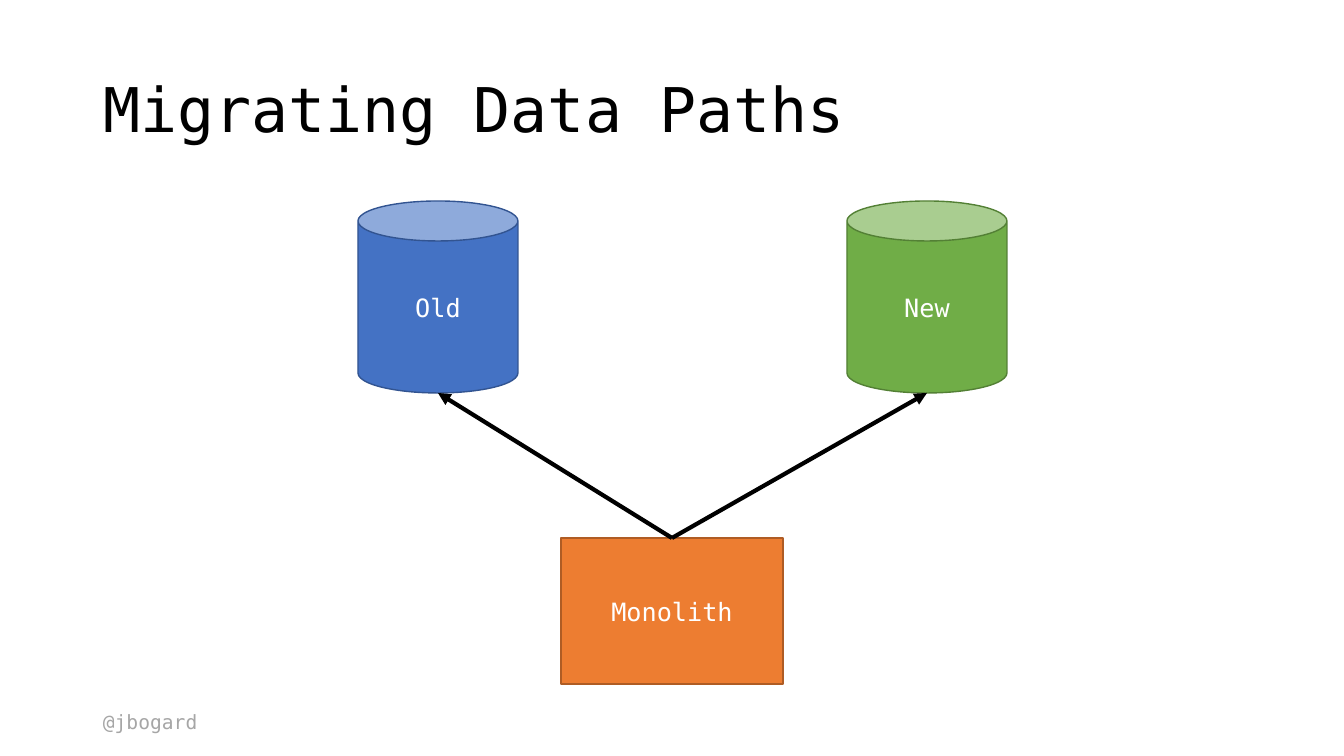
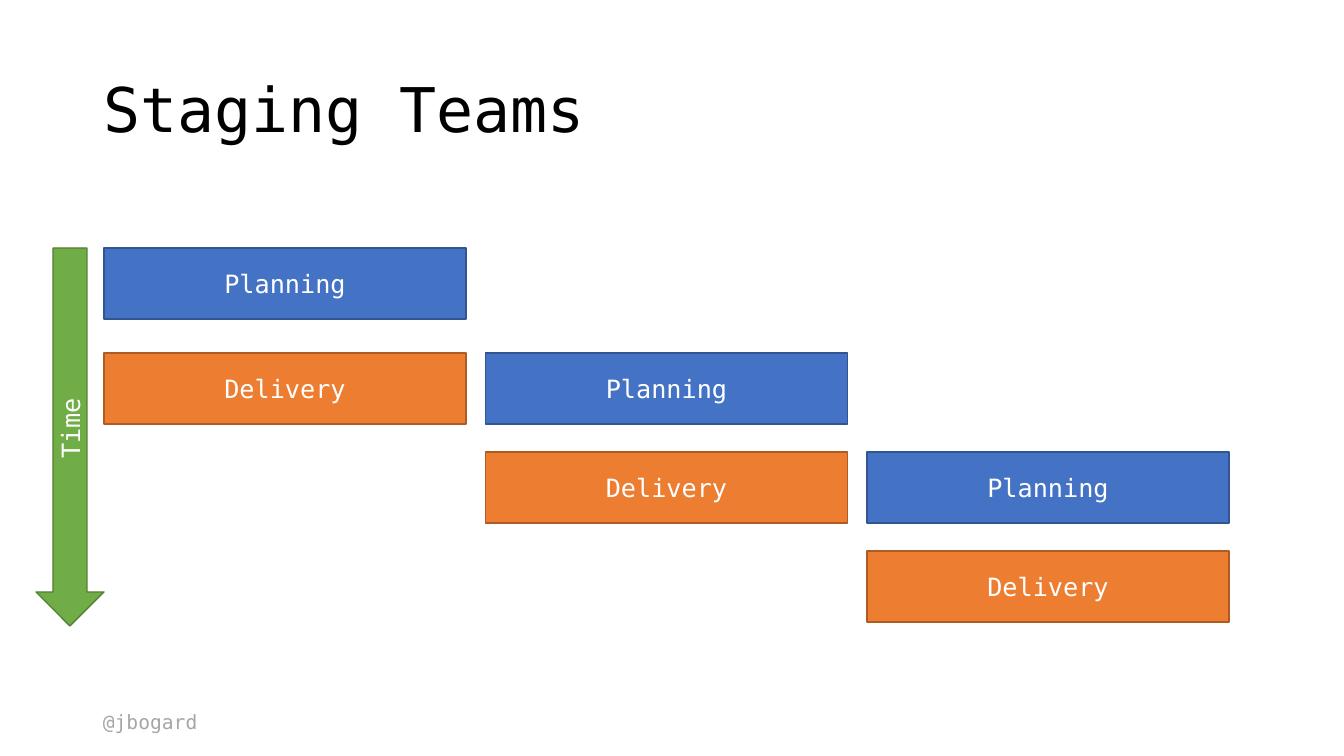
import pptx
import pptx.util
import pptx.dml.color
import pptx.enum.shapes
import pptx.enum.text
import pptx.oxml
from dataclasses import dataclass

KIND = pptx.enum.shapes.MSO_SHAPE
ALIGN = pptx.enum.text.PP_ALIGN
ANCHOR = pptx.enum.text.MSO_ANCHOR


@dataclass(frozen=True)
class Theme:
    font: str = "DejaVu Sans Mono"
    black: str = "000000"
    white: str = "FFFFFF"
    grey: str = "A6A6A6"
    # Fill and outline pairs
    blue: tuple = ("4472C4", "325491")
    green: tuple = ("70AD47", "538035")
    orange: tuple = ("ED7D31", "AF5C24")
    title: int = 44
    body: int = 18
    foot: int = 14
    edge: int = 1
    arrow: int = 3


THEME = Theme()
WIDE, HIGH = 1344, 756
TITLE = (93, 40, 1159, 146)
FOOT = (93, 705, 147, 34)


def emu(px):
    return round(px * 914400 / 100.8)


def rgb(code):
    return pptx.dml.color.RGBColor.from_string(code)


def write(shape, text, size, color, align=ALIGN.LEFT, anchor=ANCHOR.MIDDLE):
    frame = shape.text_frame
    frame.text = text
    frame.word_wrap = True
    frame.vertical_anchor = anchor
    para = frame.paragraphs[0]
    para.alignment = align
    font = para.runs[0].font
    font.name = THEME.font
    font.size = pptx.util.Pt(size)
    font.color.rgb = rgb(color)
    return para


def block(slide, kind, box, text, paint):
    shape = slide.shapes.add_shape(kind, *map(emu, box))
    shape.shadow.inherit = False
    fill, edge = paint
    shape.fill.solid()
    shape.fill.fore_color.rgb = rgb(fill)
    shape.line.color.rgb = rgb(edge)
    shape.line.width = pptx.util.Pt(THEME.edge)
    write(shape, text, THEME.body, THEME.white, ALIGN.CENTER)
    return shape


def link(slide, box, can):
    """Arrow from the top of a box to the bottom of a can."""
    line = slide.shapes.add_connector(
        pptx.enum.shapes.MSO_CONNECTOR.STRAIGHT, 0, 0, 0, 0)
    line.begin_connect(box, 0)
    line.end_connect(can, 3)
    # Site 3 of a can is its bottom centre
    line.end_x = can.left + can.width // 2
    line.end_y = can.top + can.height
    line.line.color.rgb = rgb(THEME.black)
    line.line.width = pptx.util.Pt(THEME.arrow)
    tail = pptx.oxml.parse_xml(
        '<a:tailEnd xmlns:a="http://schemas.openxmlformats.org/'
        'drawingml/2006/main" type="triangle"/>')
    line.line._get_or_add_ln().append(tail)
    props = line._element.spPr
    props.append(pptx.oxml.parse_xml(
        '<a:effectLst xmlns:a="http://schemas.openxmlformats.org/'
        'drawingml/2006/main"/>'))


def page(deck, text):
    """Slide with the shared title and footer."""
    slide = deck.slides.add_slide(deck.slide_layouts[5])
    title = slide.shapes.title
    title.left, title.top, title.width, title.height = map(emu, TITLE)
    write(title, text, THEME.title, THEME.black).line_spacing = 0.9
    foot = slide.shapes.add_textbox(*map(emu, FOOT))
    write(foot, "@jbogard", THEME.foot, THEME.grey, anchor=ANCHOR.TOP)
    return slide


def paths(slide, box):
    """Two stores above the application that writes to both."""
    left, top, wide, high = box
    can_w, can_h, app_w, app_h = 160, 192, 222, 146
    old = block(slide, KIND.CAN, (left, top, can_w, can_h), "Old", THEME.blue)
    new = block(slide, KIND.CAN, (left + wide - can_w, top, can_w, can_h),
                "New", THEME.green)
    app = block(slide, KIND.RECTANGLE,
                (left + 203, top + high - app_h, app_w, app_h),
                "Monolith", THEME.orange)
    for can in (old, new):
        link(slide, app, can)


def clock(slide, box):
    """Time arrow with text running upwards."""
    arrow = block(slide, KIND.DOWN_ARROW, box, "Time", THEME.green)
    arrow.text_frame._txBody.bodyPr.set("vert", "vert270")


def stairs(slide, box):
    """Each team plans one row, then delivers as the next one plans."""
    left, top, wide, high = box
    bar_w, bar_h, teams = 362, 71, 3
    step = (wide - bar_w) / (teams - 1)
    rows = (0, 105, 204, high - bar_h)
    for team in range(teams):
        for row, text, paint in ((team, "Planning", THEME.blue),
                                 (team + 1, "Delivery", THEME.orange)):
            spot = (left + team * step, top + rows[row], bar_w, bar_h)
            block(slide, KIND.RECTANGLE, spot, text, paint)


def main():
    deck = pptx.Presentation()
    deck.slide_width, deck.slide_height = emu(WIDE), emu(HIGH)

    # Data paths
    paths(page(deck, "Migrating Data Paths"), (358, 201, 649, 483))

    # Team stages
    slide = page(deck, "Staging Teams")
    stairs(slide, (104, 248, 1125, 374))
    clock(slide, (36, 248, 68, 378))

    deck.save("out.pptx")


if __name__ == "__main__":
    main()
